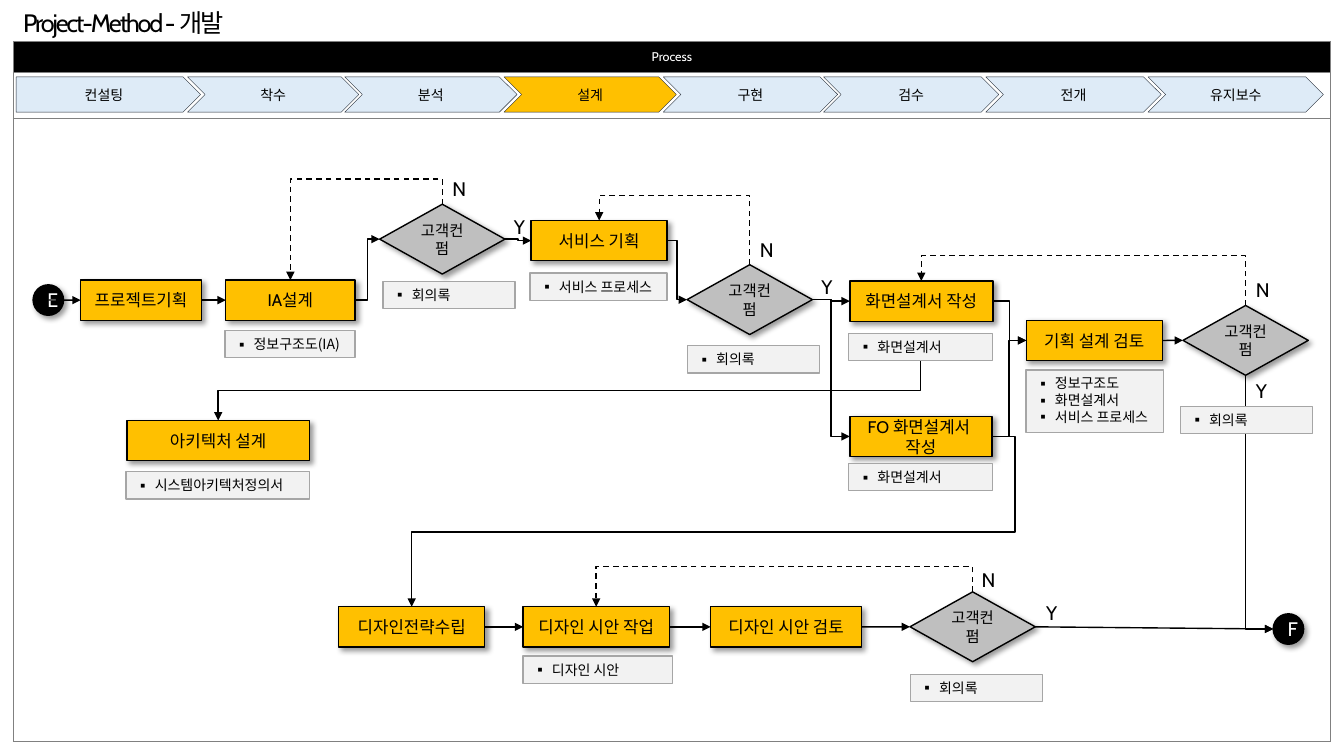
import pptx
import pptx.util
import pptx.dml.color
import pptx.enum.dml
import pptx.enum.shapes
import pptx.enum.text
import pptx.oxml
import pptx.oxml.ns
from lxml import etree

Pt, RGB, qn = pptx.util.Pt, pptx.dml.color.RGBColor, pptx.oxml.ns.qn
SHAPE = pptx.enum.shapes.MSO_SHAPE
LINK = pptx.enum.shapes.MSO_CONNECTOR
ALIGN, ANCHOR = pptx.enum.text.PP_ALIGN, pptx.enum.text.MSO_ANCHOR

BLACK, WHITE = RGB(0, 0, 0), RGB(255, 255, 255)
GOLD, PALE_BLUE, SILVER = RGB(0xFF, 0xC0, 0), RGB(0xDE, 0xEB, 0xF7), RGB(0xBF, 0xBF, 0xBF)
NOTE_FILL, NOTE_LINE = RGB(0xF2, 0xF2, 0xF2), RGB(0xA6, 0xA6, 0xA6)
STEP_LINE = RGB(0x22, 0x2A, 0x35)
FRAME = "808080"
LATIN, HANGUL = "Cabin", "Noto Sans CJK KR"

TITLE = "Project-Method - 개발"
HEADER = "Process"
ROW_HEIGHTS = [22.3, 32.4, 445]
CURRENT_STEP = "설계"
STEPS = [  # text, left, width
    ("컨설팅", 11.5, 131.8), ("착수", 133.9, 122.4), ("분석", 246.2, 123.1),
    ("설계", 360, 123.1), ("구현", 473.8, 124.6), ("검수", 588.2, 125.3),
    ("전개", 704.2, 125.3), ("유지보수", 820.1, 125.3),
]
TASKS = {  # left, top, width, text
    "project": (57.6, 200, 86.4, "프로젝트기획"),
    "ia": (161.3, 200, 92.2, "IA설계"),
    "architecture": (90.7, 300.4, 130.3, "아키텍처 설계"),
    "service": (379.4, 157.5, 97.2, "서비스 기획"),
    "screen": (607, 200.7, 102.2, "화면설계서 작성"),
    "front": (607, 297.4, 101.5, "FO 화면설계서 \v작성"),
    "review": (733, 228.8, 97.2, "기획 설계 검토"),
    "strategy": (241.9, 433.4, 104.4, "디자인전략수립"),
    "draft": (373.7, 433.4, 104.4, "디자인 시안 작업"),
    "check": (507.6, 433.4, 108, "디자인 시안 검토"),
}
DECISION_TEXT = "고객컨펌"
DECISIONS = {  # left, top
    "ia ok": (271.2, 145.9), "service ok": (490.8, 189.1),
    "review ok": (845, 218.2), "design ok": (650, 422.8),
}
ENDS = {"E": (23.6, 203.4), "F": (909.4, 438.4)}
NOTES = {  # left, top, width, lines
    "ia note": (160.6, 236.2, 92.9, ["정보구조도(IA)"]),
    "architecture note": (90, 337, 131, ["시스템아키텍처정의서"]),
    "ia ok note": (273.6, 200.9, 94.3, ["회의록"]),
    "service note": (378.7, 195.1, 97.9, ["서비스 프로세스"]),
    "service ok note": (491, 247, 94.3, ["회의록"]),
    "screen note": (606.2, 238.3, 103, ["화면설계서"]),
    "front note": (606.2, 331.2, 103, ["화면설계서"]),
    "review note": (733, 264.2, 97.9, ["정보구조도", "화면설계서", "서비스 프로세스"]),
    "review ok note": (843.1, 290.2, 94.3, ["회의록"]),
    "design ok note": (650.2, 481.7, 94.3, ["회의록"]),
    "draft note": (373.7, 468.7, 106.6, ["디자인 시안"]),
}
ANSWERS = [  # text, left, top
    ("N", 316.1, 123.1), ("Y", 360, 149.8), ("N", 535.7, 166.3), ("Y", 579.6, 193),
    ("N", 889.9, 195.1), ("Y", 889.9, 267.1), ("N", 694.1, 401.8), ("Y", 740.2, 425.5),
]
STRAIGHT = [  # from, side, to, side
    ("E", "middle", "project", "left"), ("project", "right", "ia", "left"),
    ("review", "right", "review ok", "left"), ("strategy", "right", "draft", "left"),
    ("draft", "right", "check", "left"), ("check", "right", "design ok", "left"),
    ("design ok", "right", "F", "left"),
]
ACROSS = [  # leave and arrive sideways
    ("ia", "ia ok"), ("ia ok", "service"), ("service", "service ok"),
    ("service ok", "screen"), ("service ok", "front"),
    ("screen", "review"), ("front", "review"),
]
RETURNS = [("ia ok", "ia"), ("service ok", "service"),
           ("review ok", "screen"), ("design ok", "draft")]
RETURN_RISE = 18

TASK_H, NOTE_H, NOTE_EXTRA, DIAMOND, DISC = 28.8, 19.4, 12.6, (89.5, 49.9), 21.8
boxes = {k: (x, y, w, TASK_H) for k, (x, y, w, _) in TASKS.items()}
boxes.update({k: (x, y, *DIAMOND) for k, (x, y) in DECISIONS.items()})
boxes.update({k: (x, y, DISC, DISC) for k, (x, y) in ENDS.items()})
boxes.update({k: (x, y, w, NOTE_H + NOTE_EXTRA * (len(t) - 1))
              for k, (x, y, w, t) in NOTES.items()})

prs = pptx.Presentation()
prs.slide_width, prs.slide_height = Pt(960), Pt(540)
s = prs.slides.add_slide(prs.slide_layouts[6])


def sub(parent, tag, **attrs):
    return etree.SubElement(parent, qn(tag), attrs)


def add_run(p, text, size, color=BLACK, latin=LATIN):
    for i, piece in enumerate(text.split("\v")):
        if i:
            p.add_line_break()
        r = p.add_run()
        r.text = piece
        r.font.size, r.font.name = Pt(size), latin
        r.font.color.rgb = color
        sub(r.font._element, "a:ea", typeface=HANGUL)
    return r


def add_box(kind, box, fill, line, width=1, shadow=False):
    sp = s.shapes.add_shape(kind, *map(Pt, box))
    sp.fill.solid()
    sp.fill.fore_color.rgb = fill
    sp.line.color.rgb, sp.line.width = line, Pt(width)
    sp.shadow.inherit = False
    if shadow:
        effects = sp._element.spPr.find(qn("a:effectLst"))
        outer = sub(effects, "a:outerShdw", blurRad=str(Pt(4)), dist=str(Pt(3)),
                    dir="2700000", algn="tl", rotWithShape="0")
        sub(sub(outer, "a:srgbClr", val="000000"), "a:alpha", val="40000")
    return sp


def add_centred(kind, box, text, size, fill, line=BLACK, width=1, shadow=True, color=BLACK):
    tf = add_box(kind, box, fill, line, width, shadow).text_frame
    tf.word_wrap, tf.vertical_anchor = True, ANCHOR.MIDDLE
    tf.paragraphs[0].alignment = ALIGN.CENTER
    add_run(tf.paragraphs[0], text, size, color)


def add_note(box, lines):
    tf = add_box(SHAPE.RECTANGLE, box, NOTE_FILL, NOTE_LINE).text_frame
    tf.word_wrap, tf.vertical_anchor = True, ANCHOR.TOP
    for i, text in enumerate(lines):
        p = tf.add_paragraph() if i else tf.paragraphs[0]
        p.alignment = ALIGN.LEFT
        pPr = p._p.get_or_add_pPr()
        pPr.set("marL", str(Pt(13.5)))
        pPr.set("indent", str(-Pt(13.5)))
        sub(pPr, "a:buFont", typeface=HANGUL)
        sub(pPr, "a:buChar", char="▪")
        add_run(p, text, 10, latin=HANGUL)


def add_label(x, y, w, h, text, size):
    tf = s.shapes.add_textbox(*map(Pt, (x, y, w, h))).text_frame
    tf.word_wrap = False
    tf.auto_size = pptx.enum.text.MSO_AUTO_SIZE.SHAPE_TO_FIT_TEXT
    return add_run(tf.paragraphs[0], text, size)


def point(name, side):
    x, y, w, h = boxes[name]
    fx, fy = {"left": (0, .5), "right": (1, .5), "top": (.5, 0),
              "bottom": (.5, 1), "middle": (.5, .5)}[side]
    return x + w * fx, y + h * fy


def add_arrow(start, end, kind=LINK.ELBOW, preset=None, bends=(), turn=0, dashed=False):
    """Draw an arrow; turn is 90 or 270 when an elbow leaves vertically."""
    (x1, y1), (x2, y2) = start, end
    if turn:
        sign = 1 if turn == 90 else -1
        cx, cy = (x1 + x2) / 2, (y1 + y2) / 2
        dx, dy = sign * (y2 - y1) / 2, -sign * (x2 - x1) / 2
        x1, y1, x2, y2 = cx - dx, cy - dy, cx + dx, cy + dy
    c = s.shapes.add_connector(kind, *map(Pt, (x1, y1, x2, y2)))
    c.line.color.rgb, c.line.width = BLACK, Pt(1)
    if dashed:
        c.line.dash_style = pptx.enum.dml.MSO_LINE.DASH
    spPr = c._element.spPr
    sub(spPr.find(qn("a:ln")), "a:tailEnd", type="triangle")
    sub(spPr, "a:effectLst")
    if turn:
        spPr.find(qn("a:xfrm")).set("rot", str(turn * 60000))
    geom = spPr.find(qn("a:prstGeom"))
    if preset:
        geom.set("prst", preset)
    for i, bend in enumerate(bends, 1):
        name = "adj%d" % i if len(bends) > 1 else "adj1"
        sub(geom.find(qn("a:avLst")), "a:gd", name=name, fmla="val %d" % round(bend * 100000))


frame = s.shapes.add_table(3, 1, Pt(9.4), Pt(29.5), Pt(941), Pt(sum(ROW_HEIGHTS)))
table = frame.table
table.first_row = table.horz_banding = False
for i, height in enumerate(ROW_HEIGHTS):
    table.rows[i].height = Pt(height)
    cell = table.cell(i, 0)
    cell.vertical_anchor = ANCHOR.MIDDLE
    tcPr = cell._tc.get_or_add_tcPr()
    for edge in ("a:lnL", "a:lnR", "a:lnT", "a:lnB"):
        ln = sub(tcPr, edge, w=str(Pt(0.5)))
        sub(sub(ln, "a:solidFill"), "a:srgbClr", val=FRAME)
    cell.fill.solid()
    cell.fill.fore_color.rgb = WHITE if i else BLACK
p = table.cell(0, 0).text_frame.paragraphs[0]
p.alignment = ALIGN.CENTER
add_run(p, HEADER, 9, WHITE)

for i, (text, x, w) in enumerate(STEPS):
    add_centred(SHAPE.CHEVRON if i else SHAPE.PENTAGON, (x, 54.9, w, 25.2), text, 10,
                GOLD if text == CURRENT_STEP else PALE_BLUE, STEP_LINE, 0.25, False)
for name, task in TASKS.items():
    add_centred(SHAPE.RECTANGLE, boxes[name], task[3], 12, GOLD)
for name in DECISIONS:
    add_centred(SHAPE.DIAMOND, boxes[name], DECISION_TEXT, 11, SILVER)
for name in ENDS:
    add_centred(SHAPE.OVAL, boxes[name], name, 14, BLACK, color=WHITE)

for a, a_side, b, b_side in STRAIGHT:
    add_arrow(point(a, a_side), point(b, b_side), LINK.STRAIGHT)
for a, b in ACROSS:
    add_arrow(point(a, "right"), point(b, "left"), bends=[0.5])
for a, b in RETURNS:
    start, end = point(a, "top"), point(b, "top")
    level = min(start[1], end[1]) - RETURN_RISE
    add_arrow(start, end, bends=[(level - start[1]) / (end[1] - start[1])], turn=270, dashed=True)
add_arrow(point("screen note", "bottom"), point("architecture", "top"), bends=[0.5], turn=90)
add_arrow(point("review ok", "bottom"), point("F", "left"), preset="bentConnector2", turn=270)
add_arrow(point("front", "right"), point("strategy", "top"),
          preset="bentConnector4", bends=[-0.04, 0.56])

for name, note in NOTES.items():
    add_note(boxes[name], note[3])
for text, x, y in ANSWERS:
    add_label(x, y, 24, 24.5, text, 14)
add_label(9.4, 1.4, 163.4, 28.8, TITLE, 18).font._element.set("spc", "-150")
prs.save("out.pptx")
